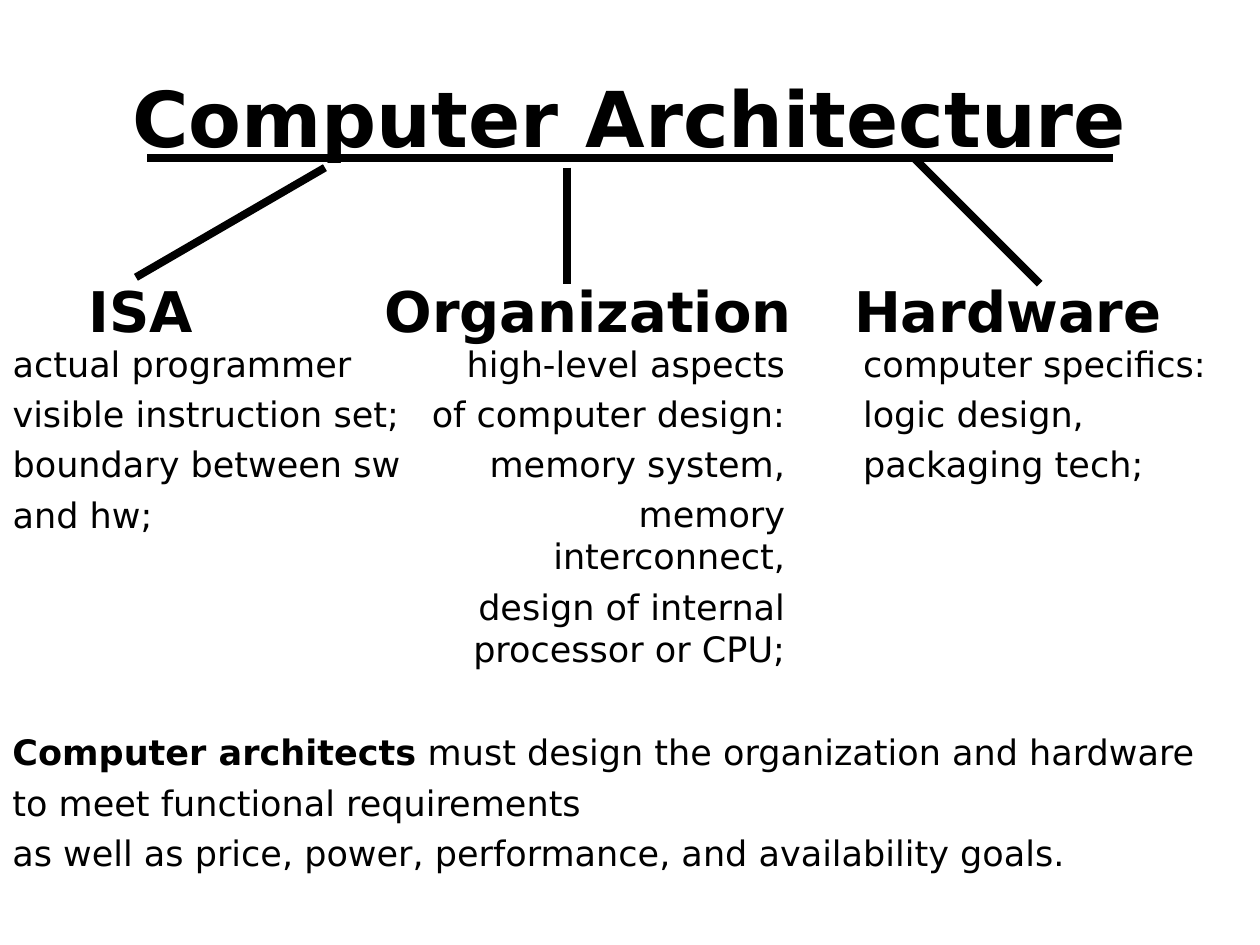
from dataclasses import dataclass, field
from typing import Any

import lxml.etree
import pptx
import pptx.dml.color
import pptx.enum.shapes
import pptx.enum.text
import pptx.oxml.ns
import pptx.util

Cm = pptx.util.Cm
Align = pptx.enum.text.PP_ALIGN
Anchor = pptx.enum.text.MSO_ANCHOR
qn = pptx.oxml.ns.qn


@dataclass(frozen=True)
class Theme:
    font: str = "DejaVu Sans"
    ink: pptx.dml.color.RGBColor = field(
        default_factory=lambda: pptx.dml.color.RGBColor(0, 0, 0))
    title_size: float = 44
    heading_size: float = 32
    body_size: float = 20
    line_width: float = 4.5
    paragraph_gap: float = 4.66
    hanging: float = 0.95


@dataclass(frozen=True)
class Box:
    left: float
    top: float
    width: float
    height: float


@dataclass(frozen=True)
class Branch:
    heading: str
    heading_left: float
    heading_width: float
    details: list[str]
    details_left: float
    details_width: float
    align: Align = Align.LEFT


@dataclass(frozen=True)
class Stroke:
    start: tuple[float, float]
    end: tuple[float, float]


THEME = Theme()
HEADING_TOP, HEADING_HEIGHT = 5.08, 2.34
DETAILS_TOP, DETAILS_HEIGHT = 6.78, 12.27

BRANCHES = [
    Branch("ISA", 0.4, 4.88,
           ["actual programmer", "visible instruction set;",
            "boundary between sw", "and hw;"], 0, 8.89),
    Branch("Organization", 6.78, 10.16,
           ["high-level aspects", "of computer design:", "memory system,",
            "memory interconnect,", "design of internal processor or CPU;"],
           7.82, 8.26, Align.RIGHT),
    Branch("Hardware", 16.51, 7.62,
           ["computer specifics:", "logic design,", "packaging tech;"],
           17.15, 8.25),
]
STROKES = [
    Stroke((2.97, 3.18), (22.43, 3.18)),
    Stroke((11.43, 3.38), (11.43, 5.72)),
    Stroke((6.55, 3.38), (2.74, 5.59)),
    Stroke((18.42, 3.18), (20.96, 5.72)),
]
GOAL_SUBJECT = "Computer architects"
GOAL_LINES = [
    " must design the organization and hardware",
    "to meet functional requirements",
    "as well as price, power, performance, and availability goals.",
]


def apply(target: Any, values: dict[str, Any]) -> None:
    for name, value in values.items():
        setattr(target, name, value)


def place(shape: Any, box: Box) -> None:
    apply(shape, {"left": Cm(box.left), "top": Cm(box.top),
                  "width": Cm(box.width), "height": Cm(box.height)})


def add_box(slide: Any, box: Box) -> Any:
    return slide.shapes.add_textbox(
        Cm(box.left), Cm(box.top), Cm(box.width), Cm(box.height))


def add_run(paragraph: Any, words: str, size: float, bold: bool) -> None:
    run = paragraph.add_run()
    run.text = words
    apply(run.font, {"name": THEME.font, "size": pptx.util.Pt(size), "bold": bold})
    run.font.color.rgb = THEME.ink


def prepare_frame(shape: Any, anchor: Anchor) -> Any:
    frame = shape.text_frame
    apply(frame, {"word_wrap": True, "vertical_anchor": anchor,
                  "auto_size": pptx.enum.text.MSO_AUTO_SIZE.NONE})
    return frame


def write_heading(shape: Any, words: str, size: float) -> None:
    paragraph = prepare_frame(shape, Anchor.MIDDLE).paragraphs[0]
    paragraph.alignment = Align.CENTER
    add_run(paragraph, words, size, True)


def write_lines(shape: Any, lines: list[str], align: Align = Align.LEFT,
                bold_lead: str = "") -> None:
    frame = prepare_frame(shape, Anchor.TOP)
    for index, line in enumerate(lines):
        paragraph = frame.add_paragraph() if index else frame.paragraphs[0]
        properties = paragraph._p.get_or_add_pPr()
        properties.set("marL", str(Cm(THEME.hanging)))
        properties.set("indent", str(-Cm(THEME.hanging)))
        lxml.etree.SubElement(properties, qn("a:buNone"))
        apply(paragraph, {
            "alignment": align,
            "space_before": pptx.util.Pt(THEME.paragraph_gap if index else 0)})
        if bold_lead and not index:
            add_run(paragraph, bold_lead, THEME.body_size, True)
        add_run(paragraph, line, THEME.body_size, False)


def draw_stroke(slide: Any, stroke: Stroke) -> None:
    connector = slide.shapes.add_connector(
        pptx.enum.shapes.MSO_CONNECTOR.STRAIGHT,
        *map(Cm, stroke.start + stroke.end))
    connector.line.width = pptx.util.Pt(THEME.line_width)
    connector.line.color.rgb = THEME.ink
    lxml.etree.SubElement(connector._element.spPr, qn("a:effectLst"))


def draw_branch(slide: Any, branch: Branch, details: Any) -> None:
    heading = add_box(slide, Box(branch.heading_left, HEADING_TOP,
                                 branch.heading_width, HEADING_HEIGHT))
    write_heading(heading, branch.heading, THEME.heading_size)
    place(details, Box(branch.details_left, DETAILS_TOP,
                       branch.details_width, DETAILS_HEIGHT))
    write_lines(details, branch.details, branch.align)


def main() -> None:
    deck = pptx.Presentation()
    apply(deck, {"slide_width": Cm(25.4), "slide_height": Cm(19.05)})
    slide = deck.slides.add_slide(deck.slide_layouts[1])

    title = slide.shapes.title
    place(title, Box(0, 0.76, 25.4, 3.18))
    write_heading(title, "Computer Architecture", THEME.title_size)

    for stroke in STROKES:
        draw_stroke(slide, stroke)

    isa, *others = BRANCHES
    draw_branch(slide, isa, slide.placeholders[1])
    for branch in others:
        draw_branch(slide, branch, add_box(slide, Box(0, 0, 1, 1)))

    goals = add_box(slide, Box(0, 14.61, 25.4, 4.44))
    write_lines(goals, GOAL_LINES, bold_lead=GOAL_SUBJECT)

    deck.save("out.pptx")


if __name__ == "__main__":
    main()
